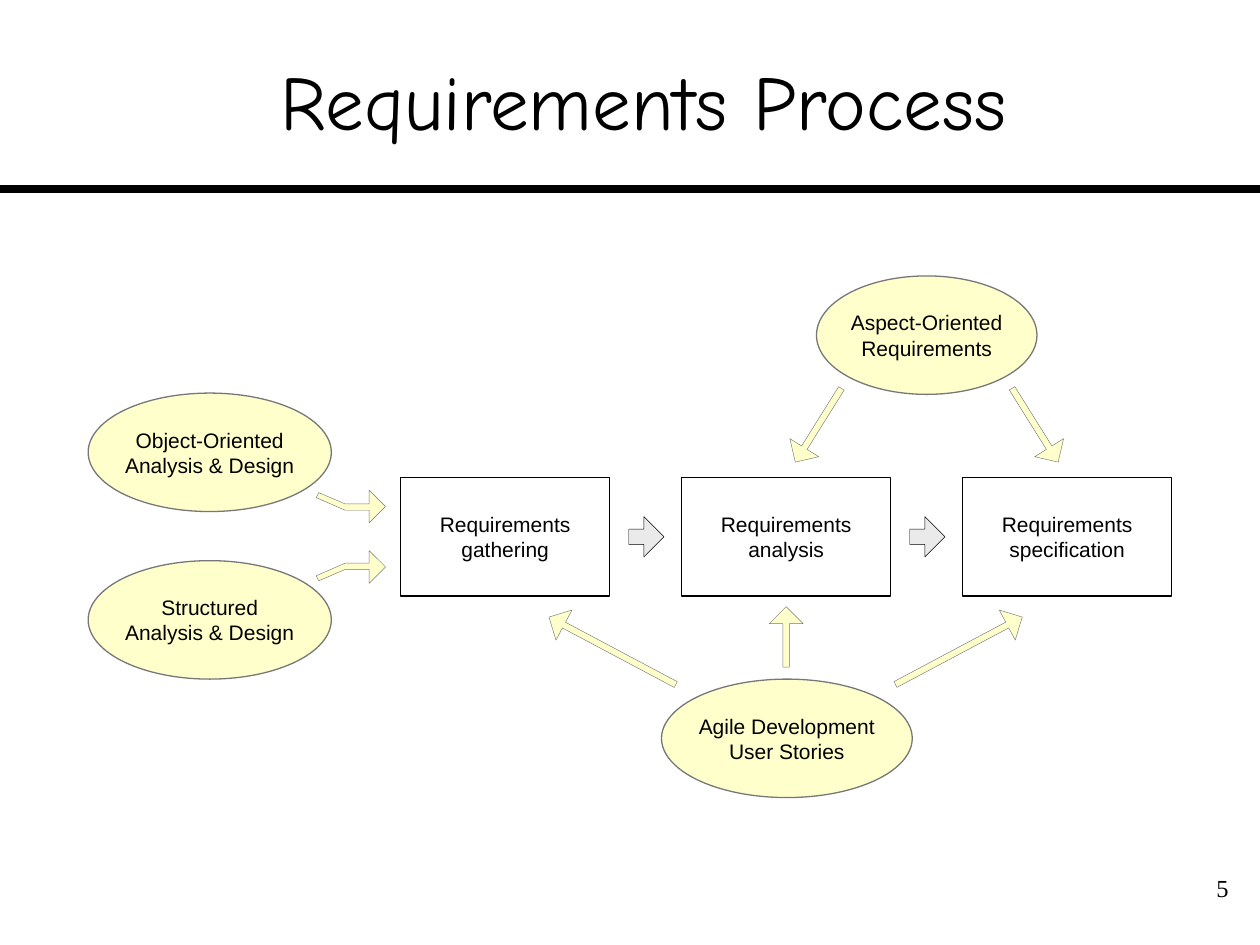
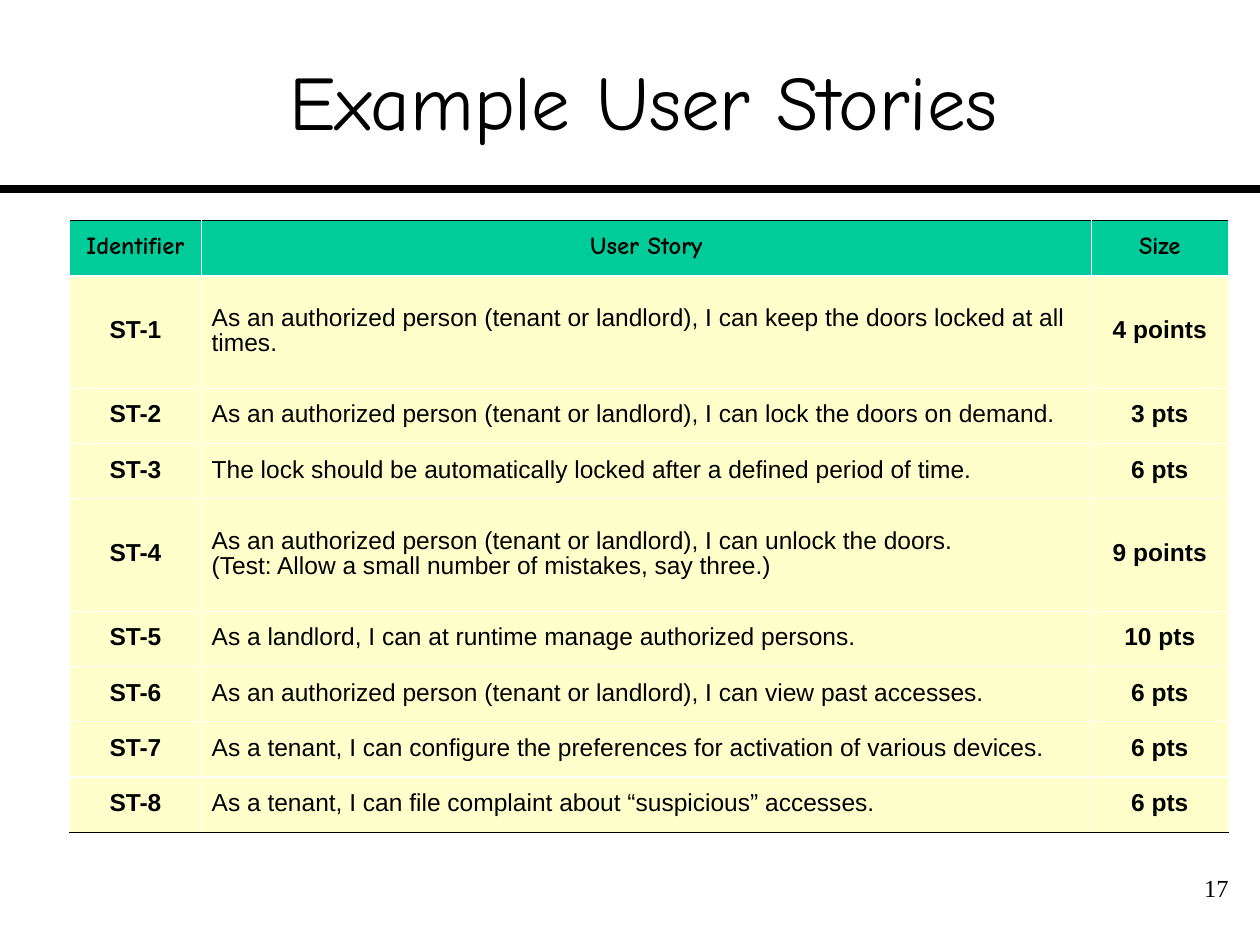
from lxml.etree import SubElement
from pptx import Presentation
from pptx.dml.color import RGBColor
from pptx.enum.shapes import MSO_CONNECTOR, MSO_SHAPE
from pptx.enum.text import MSO_ANCHOR, PP_ALIGN
from pptx.oxml.ns import qn
from pptx.util import Inches, Pt

COLORS = {"ink": "000000", "paper": "FFFFFF", "cream": "FFFFCC",
          "outline": "777777", "gray": "EAEAEA", "header": "00CC99"}
TITLE_FONT, BODY_FONT, NUMBER_FONT = "Comic Neue", "Arial", "Times New Roman"

STORIES = [
    ("ST-1", "As an authorized person (tenant or landlord), I can keep the doors "
             "locked at all times.", "4 points"),
    ("ST-2", "As an authorized person (tenant or landlord), I can lock the doors "
             "on demand.", "3 pts"),
    ("ST-3", "The lock should be automatically locked after a defined period of "
             "time.", "6 pts"),
    ("ST-4", "As an authorized person (tenant or landlord), I can unlock the doors."
             "\v(Test: Allow a small number of mistakes, say three.)", "9 points"),
    ("ST-5", "As a landlord, I can at runtime manage authorized persons.", "10 pts"),
    ("ST-6", "As an authorized person (tenant or landlord), I can view past "
             "accesses.", "6 pts"),
    ("ST-7", "As a tenant, I can configure the preferences for activation of "
             "various devices.", "6 pts"),
    ("ST-8", "As a tenant, I can file complaint about “suspicious” accesses.", "6 pts"),
]


def rgb(name):
    return RGBColor.from_string(COLORS[name])


def write(tf, text, size=12, font=BODY_FONT, bold=False, align=PP_ALIGN.CENTER,
          anchor=MSO_ANCHOR.MIDDLE, margins=(0.1, 0.05)):
    """Fill a text frame with one formatted paragraph and return it."""
    tf.word_wrap = True
    tf.vertical_anchor = anchor
    tf.margin_left = tf.margin_right = Inches(margins[0])
    tf.margin_top = tf.margin_bottom = Inches(margins[1])
    p = tf.paragraphs[0]
    p.text = text
    p.alignment = align
    for r in p.runs:
        r.font.size, r.font.name, r.font.bold = Pt(size), font, bold
        r.font.color.rgb = rgb("ink")
    return p


def paint(sp, fill, line, width):
    sp.shadow.inherit = False
    sp.fill.solid()
    sp.fill.fore_color.rgb = rgb(fill)
    sp.line.color.rgb = rgb(line)
    sp.line.width = Pt(width)


def add_preset(slide, kind, box, fill, line, width):
    sp = slide.shapes.add_shape(kind, *map(Inches, box))
    paint(sp, fill, line, width)
    return sp


def add_page(prs, title, number):
    """Title, rule and page number shared by the slides."""
    slide = prs.slides.add_slide(prs.slide_layouts[5])
    rule = slide.shapes.add_connector(MSO_CONNECTOR.STRAIGHT, 0, Inches(1.5),
                                      prs.slide_width, Inches(1.5))
    rule.line.color.rgb = rgb("ink")
    rule.line.width = Pt(4.5)
    SubElement(rule._element.spPr, qn("a:effectLst"))

    sp = slide.shapes.title
    sp.left, sp.top, sp.width, sp.height = map(Inches, (0.42, 0.17, 9.38, 1.25))
    write(sp.text_frame, title, size=44, font=TITLE_FONT, margins=(0, 0.05))

    sp = slide.shapes.add_textbox(*map(Inches, (9.26, 6.88, 0.59, 0.5)))
    write(sp.text_frame, str(number), size=14, font=NUMBER_FONT,
          align=PP_ALIGN.RIGHT, anchor=MSO_ANCHOR.TOP)
    return slide


# Process diagram
def add_arrow(slide, box, angle=0, fill="cream", line="outline", adj=(0.19, 0.5)):
    """Block arrow pointing along angle, clockwise from the right."""
    sp = add_preset(slide, MSO_SHAPE.RIGHT_ARROW, box, fill, line, 0.25)
    sp.adjustments[0], sp.adjustments[1] = adj
    sp.rotation = angle


def add_bent_arrow(slide, left, top, height=0.27, upward=False):
    """Arrow that starts on a slope and ends level; upward mirrors it."""
    outline = [(0.23, 0.11), (0.42, 0.11), (0.42, 0), (0.55, 0.13), (0.42, 0.26),
               (0.42, 0.16), (0.23, 0.16), (0, 0.06), (0.02, 0.02)]
    pts = [(Inches(left + x), Inches(top + (height - y if upward else y)))
           for x, y in outline]
    builder = slide.shapes.build_freeform(*pts[0])
    builder.add_line_segments(pts[1:], close=True)
    paint(builder.convert_to_shape(), "cream", "outline", 0.25)


def add_stages(slide, left, top, width=1.66, height=0.94, pitch=2.23):
    """Row of process stages with an arrow in each gap."""
    stages = ("gathering", "analysis", "specification")
    for i, stage in enumerate(stages):
        x = left + i * pitch
        sp = add_preset(slide, MSO_SHAPE.RECTANGLE, (x, top, width, height),
                        "paper", "ink", 0.75)
        write(sp.text_frame, f"Requirements {stage}")
        if i < len(stages) - 1:
            add_arrow(slide, (x + width + 0.15, top + 0.31, 0.28, 0.32),
                      fill="gray", line="ink", adj=(0.38, 0.57))


def add_methods(slide):
    """Methods and the arrows to the stages they support."""
    for text, left, top, width in (
            ("Agile Development User Stories", 5.25, 5.39, 1.99),
            ("Aspect-Oriented Requirements", 6.48, 2.19, 1.75),
            ("Object-Oriented Analysis & Design", 0.7, 3.12, 1.93),
            ("Structured Analysis & Design", 0.7, 4.45, 1.93)):
        sp = add_preset(slide, MSO_SHAPE.OVAL, (left, top, width, 0.94),
                        "cream", "outline", 0.75)
        write(sp.text_frame, text, margins=(0, 0))
    for left, top, length, angle in (
            (6, 4.92, 0.48, 270), (4.29, 5.03, 1.14, 208), (7.04, 5.03, 1.14, 332),
            (6.15, 3.24, 0.69, 122), (7.87, 3.24, 0.69, 58)):
        add_arrow(slide, (left, top, length, 0.27), angle)
    add_bent_arrow(slide, 2.51, 3.89)
    add_bent_arrow(slide, 2.51, 4.36, upward=True)


def process_slide(prs):
    slide = add_page(prs, "Requirements Process", 5)
    add_stages(slide, 3.18, 3.79)
    add_methods(slide)


# User story table
def set_border(cell, side, color, width):
    ln = SubElement(cell._tc.get_or_add_tcPr(), qn(f"a:{side}"), w=str(Pt(width)))
    fill = SubElement(ln, qn("a:solidFill"))
    SubElement(fill, qn("a:srgbClr"), val=COLORS[color])


def add_story_table(slide, left, top, widths=(1.05, 7.06, 1.09)):
    rows = [("Identifier", "User Story", "Size"), *STORIES]
    heights = [0.89 if text in ("ST-1", "ST-4") else 0.44 for text, _, _ in rows]
    frame = slide.shapes.add_table(len(rows), len(widths), Inches(left), Inches(top),
                                   Inches(sum(widths)), Inches(sum(heights)))
    table = frame.table
    for column, width in zip(table.columns, widths):
        column.width = Inches(width)

    # Horizontal rules from the top edge to the bottom edge
    thin, thick, edge = ("paper", 0.45), ("paper", 1.47), ("ink", 0.45)
    rules = [edge, thick] + [thin] * (len(rows) - 3) + [thick, edge]

    for i, values in enumerate(rows):
        table.rows[i].height = Inches(heights[i])
        for j, text in enumerate(values):
            cell = table.cell(i, j)
            for side, rule in (("lnL", thin), ("lnR", thin),
                               ("lnT", rules[i]), ("lnB", rules[i + 1])):
                set_border(cell, side, *rule)
            cell.fill.solid()
            cell.fill.fore_color.rgb = rgb("cream" if i else "header")
            is_story = i > 0 and j == 1
            margin = 0.08 if i or j else 0.02
            p = write(cell.text_frame, text, size=14, bold=not is_story,
                      font=BODY_FONT if i else TITLE_FONT,
                      align=PP_ALIGN.LEFT if is_story else PP_ALIGN.CENTER)
            p.line_spacing = Pt(14)
            p.space_before = p.space_after = Pt(2)
            cell.vertical_anchor = MSO_ANCHOR.MIDDLE
            cell.margin_left = cell.margin_right = Inches(margin)
            cell.margin_top = cell.margin_bottom = Inches(0.05)


def stories_slide(prs):
    slide = add_page(prs, "Example User Stories", 17)
    add_story_table(slide, 0.55, 1.75)


def main():
    prs = Presentation()
    prs.slide_width, prs.slide_height = Inches(10), Inches(7.5)
    process_slide(prs)
    stories_slide(prs)
    prs.save("out.pptx")


if __name__ == "__main__":
    main()
